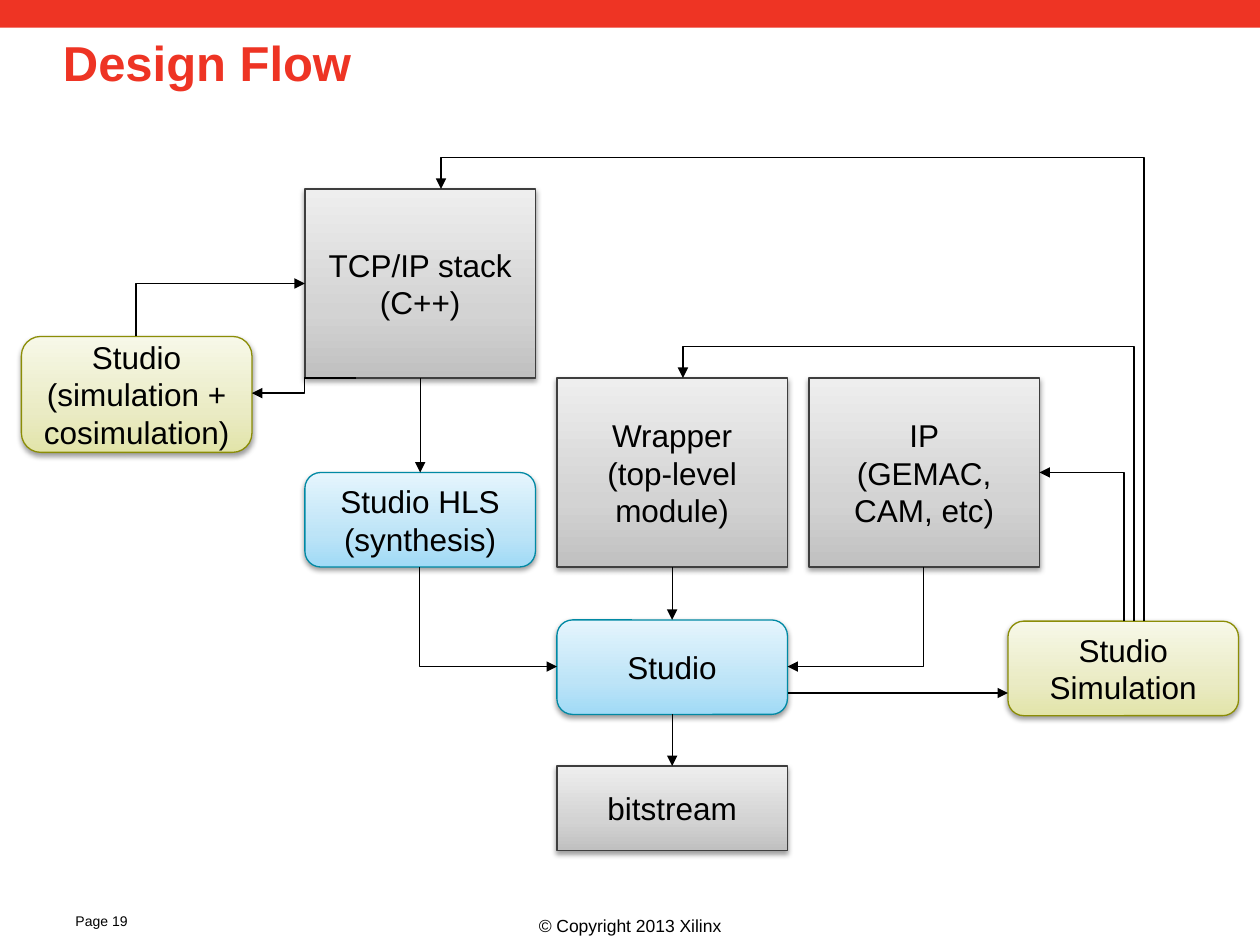
from dataclasses import dataclass

from lxml import etree
from pptx import Presentation
from pptx.dml.color import RGBColor
from pptx.enum.shapes import MSO_CONNECTOR, MSO_SHAPE
from pptx.enum.text import MSO_ANCHOR, PP_ALIGN
from pptx.oxml import parse_xml
from pptx.oxml.ns import nsdecls, qn
from pptx.util import Inches, Pt

RECTANGLE = MSO_SHAPE.RECTANGLE
ROUNDED = MSO_SHAPE.FLOWCHART_ALTERNATE_PROCESS
STRAIGHT, ELBOW = MSO_CONNECTOR.STRAIGHT, MSO_CONNECTOR.ELBOW
LEFT, CENTER = PP_ALIGN.LEFT, PP_ALIGN.CENTER
TOP, MIDDLE = MSO_ANCHOR.TOP, MSO_ANCHOR.MIDDLE
TOP_SIDE, BOTTOM_SIDE = 0, 2


@dataclass(frozen=True)
class Theme:
    font: str = "Arial"
    red: str = "EE3424"
    black: str = "000000"
    # Gradient from bottom to top, then outline
    gray: tuple = ("C0C0C0", "D3D3D3", "EEEEEE", "3E3E3E")
    blue: tuple = ("A0DAF6", "BDE4F7", "E5F5FD", "0089A4")
    olive: tuple = ("E2E4A9", "EAEBC4", "F7F8E8", "8B8D06")
    title_size: float = 28
    label_size: float = 18
    copyright_size: float = 10
    page_size: float = 8
    line_width: float = 0.75


THEME = Theme()

deck = Presentation()
deck.slide_width, deck.slide_height = Inches(10), Inches(7.5)
page = deck.slides.add_slide(deck.slide_layouts[6])


def write(shape, text, size, color, align, anchor, bold=False):
    frame = shape.text_frame
    frame.word_wrap = True
    frame.vertical_anchor = anchor
    frame.text = text
    for para in frame.paragraphs:
        para.alignment = align
        for span in para.runs:
            span.font.name = THEME.font
            span.font.size = Pt(size)
            span.font.bold = bold
            span.font.color.rgb = RGBColor.from_string(color)


def add_arrow(kind, start, end):
    arrow = page.shapes.add_connector(kind, *map(Inches, start + end))
    arrow.line.color.rgb = RGBColor.from_string(THEME.black)
    arrow.line.width = Pt(THEME.line_width)
    etree.SubElement(arrow.line._get_or_add_ln(), qn("a:tailEnd"), type="triangle")
    etree.SubElement(arrow._element.spPr, qn("a:effectLst"))
    return arrow


# Header bar, title and footer
bar = page.shapes.add_shape(RECTANGLE, 0, 0, deck.slide_width, Inches(0.22))
bar.shadow.inherit = False
bar.fill.solid()
bar.fill.fore_color.rgb = RGBColor.from_string(THEME.red)
bar.line.fill.background()

title = page.shapes.add_textbox(Inches(0.5), Inches(0.23), Inches(9), Inches(1.25))
write(title, "Design Flow", THEME.title_size, THEME.red, LEFT, TOP, bold=True)
title.text_frame.margin_left = 0
title.text_frame.paragraphs[0].line_spacing = 0.98

for text, left, top, width, height, size, align in (
    ("© Copyright 2013 Xilinx", 0, 7.21, 10, 0.32, THEME.copyright_size, CENTER),
    ("Page 19", 0.5, 7.19, 0.92, 0.27, THEME.page_size, LEFT),
):
    box = page.shapes.add_textbox(*map(Inches, (left, top, width, height)))
    write(box, text, size, THEME.black, align, TOP)

# Flow steps
STEP_WIDTH = 1.83
COLUMNS = [2.42 + 2 * column for column in range(3)]
steps = {}
for name, text, kind, colors, left, top, height in (
    ("stack", "TCP/IP stack\n(C++)", RECTANGLE, THEME.gray, COLUMNS[0], 1.5, 1.5),
    ("wrapper", "Wrapper\n(top-level module)", RECTANGLE, THEME.gray, COLUMNS[1], 3, 1.5),
    ("ip", "IP\n(GEMAC, CAM, etc)", RECTANGLE, THEME.gray, COLUMNS[2], 3, 1.5),
    ("synthesis", "Studio HLS\n(synthesis)", ROUNDED, THEME.blue, COLUMNS[0], 3.75, 0.75),
    ("build", "Studio", ROUNDED, THEME.blue, COLUMNS[1], 4.92, 0.75),
    ("cosimulation", "Studio\n(simulation + cosimulation)", ROUNDED, THEME.olive, 0.17, 2.67, 0.92),
    ("bitstream", "bitstream", RECTANGLE, THEME.gray, COLUMNS[1], 6.08, 0.67),
    ("simulation", "Studio Simulation", ROUNDED, THEME.olive, 8, 4.93, 0.75),
):
    step = page.shapes.add_shape(kind, *map(Inches, (left, top, STEP_WIDTH, height)))
    bottom, middle, upper, outline = colors
    step.line.color.rgb = RGBColor.from_string(outline)
    step.line.width = Pt(THEME.line_width)
    stops = "".join(
        f'<a:gs pos="{position * 1000}"><a:srgbClr val="{color}"/></a:gs>'
        for position, color in ((0, bottom), (35, middle), (100, upper))
    )
    step.line._get_or_add_ln().addprevious(parse_xml(
        f'<a:gradFill {nsdecls("a")} rotWithShape="1"><a:gsLst>{stops}</a:gsLst>'
        '<a:lin ang="16200000" scaled="0"/></a:gradFill>'
    ))
    step.shadow.inherit = False
    step._element.spPr.find(qn("a:effectLst")).append(parse_xml(
        f'<a:outerShdw {nsdecls("a")} blurRad="{Pt(3.1)}" dist="{Pt(1.6)}" '
        f'dir="5400000" rotWithShape="0"><a:srgbClr val="{THEME.black}">'
        '<a:alpha val="38000"/></a:srgbClr></a:outerShdw>'
    ))
    write(step, text, THEME.label_size, THEME.black, CENTER, MIDDLE)
    steps[name] = step

# Straight arrows
for source, target in (("stack", "synthesis"), ("wrapper", "build"), ("build", "bitstream")):
    arrow = add_arrow(STRAIGHT, (0, 0), (1, 1))
    arrow.begin_connect(steps[source], BOTTOM_SIDE)
    arrow.end_connect(steps[target], TOP_SIDE)
add_arrow(STRAIGHT, (6.25, 5.5), (8, 5.5))

# Elbow that leaves the stack sideways
add_arrow(ELBOW, (2.83, 3), (2, 3.12))

# Elbows that leave vertically: a quarter turn about the centre;
# those with a crossing height run past the target and come back down
for start, end, crossing in (
    ((7.33, 4.5), (6.25, 5.29), None),
    ((3.33, 4.5), (4.42, 5.29), None),
    ((1.08, 2.67), (2.42, 2.25), None),
    ((8.92, 4.93), (8.25, 3.75), None),
    ((9, 4.93), (5.42, 3), 2.75),
    ((9.08, 4.93), (3.5, 1.5), 1.25),
):
    arrow = add_arrow(ELBOW, start, end)
    across, down = end[0] - start[0], end[1] - start[1]
    width, height = abs(down), abs(across)
    arrow.left = Inches((start[0] + end[0] - width) / 2)
    arrow.top = Inches((start[1] + end[1] - height) / 2)
    arrow.width, arrow.height = Inches(width), Inches(height)
    goes_right, goes_down = across > 0, down > 0
    frame = arrow._element.spPr.find(qn("a:xfrm"))
    frame.set("rot", str((90 if goes_right != goes_down else 270) * 60000))
    frame.set("flipH", str(int(goes_right)))
    frame.set("flipV", str(int(not goes_down)))
    geometry = arrow._element.spPr.find(qn("a:prstGeom"))
    if crossing is None:
        geometry.set("prst", "bentConnector2")
    else:
        bend = round((crossing - start[1]) / down * 100000)
        guides = geometry.find(qn("a:avLst"))
        etree.SubElement(guides, qn("a:gd"), name="adj1", fmla=f"val {bend}")

deck.save("out.pptx")
